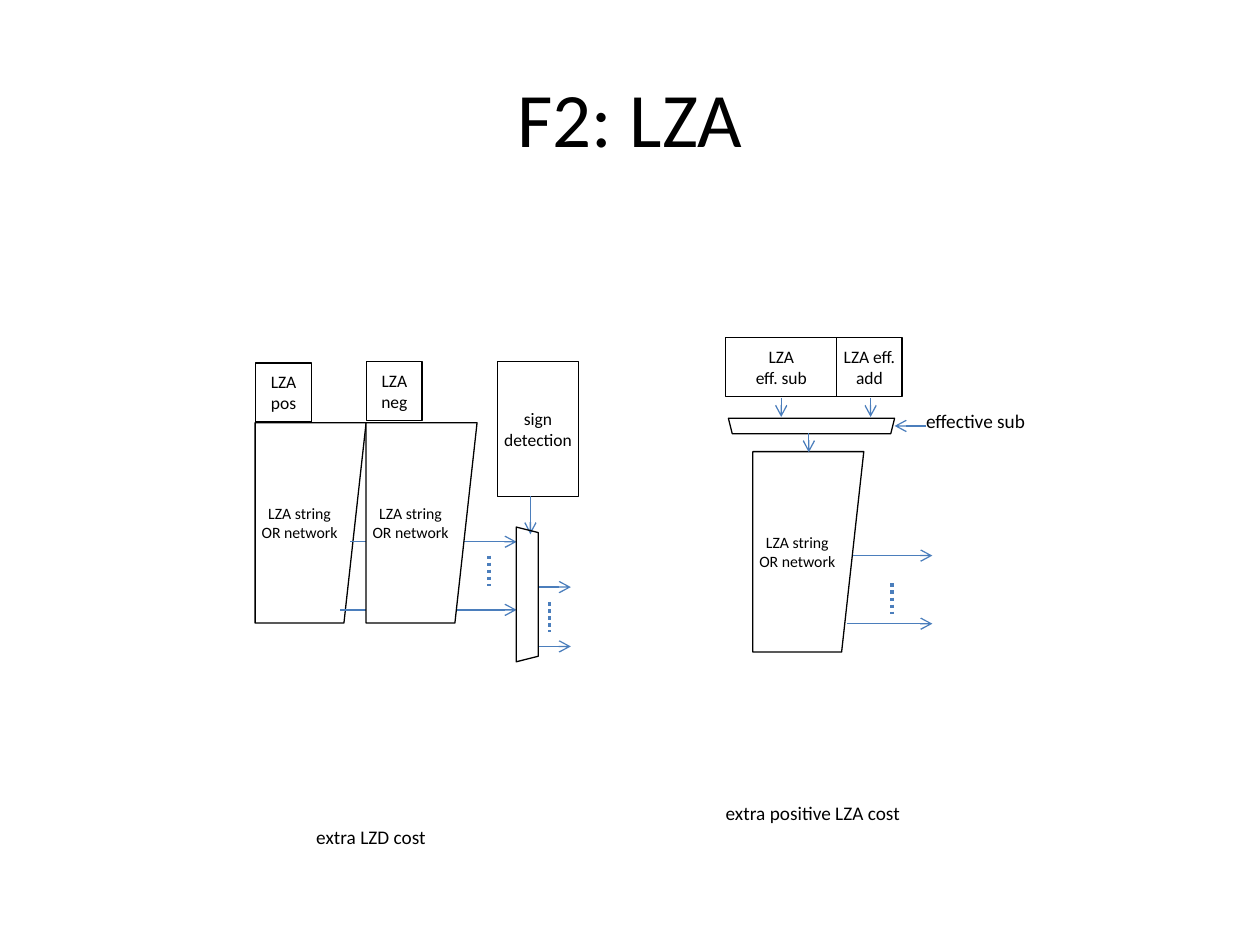
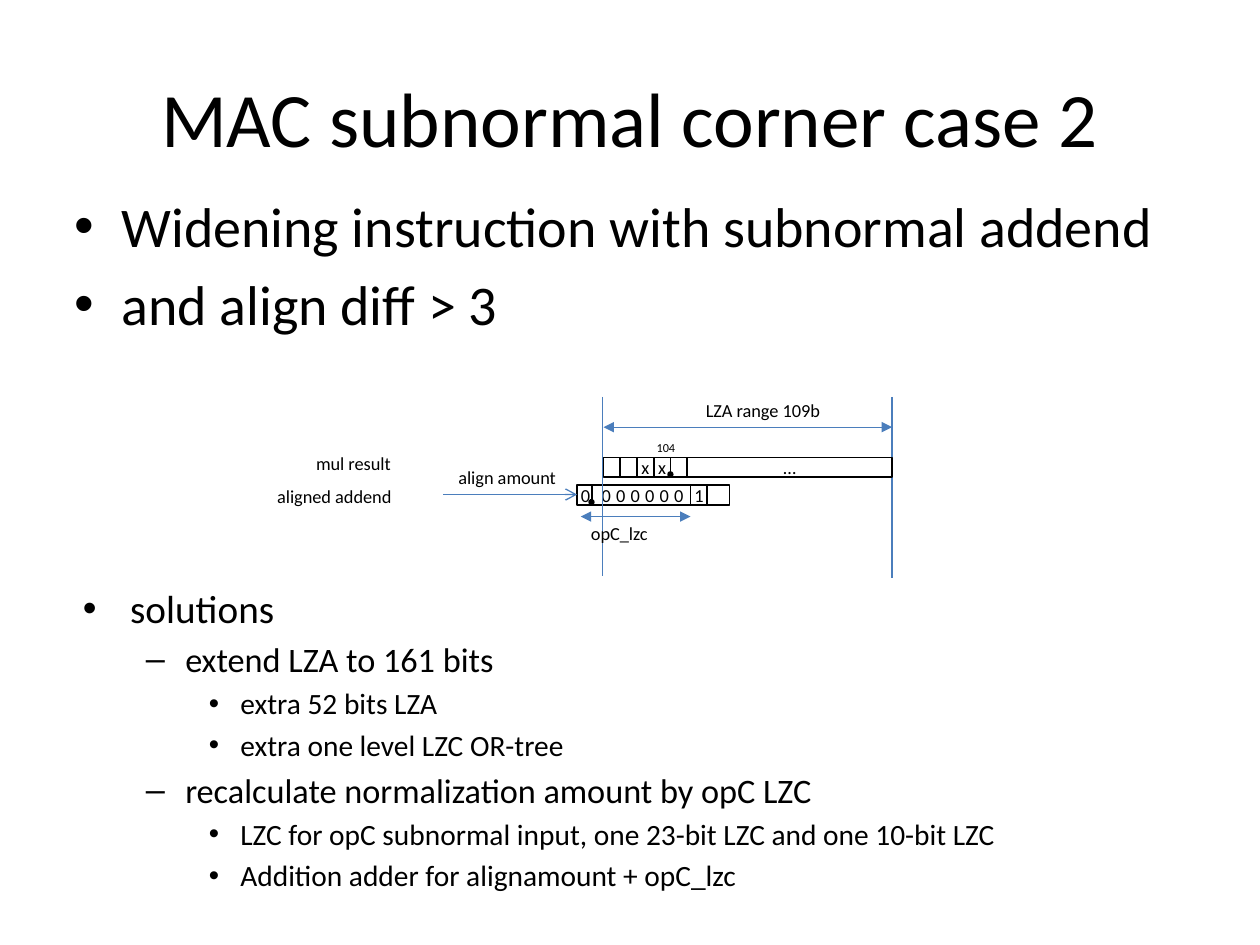
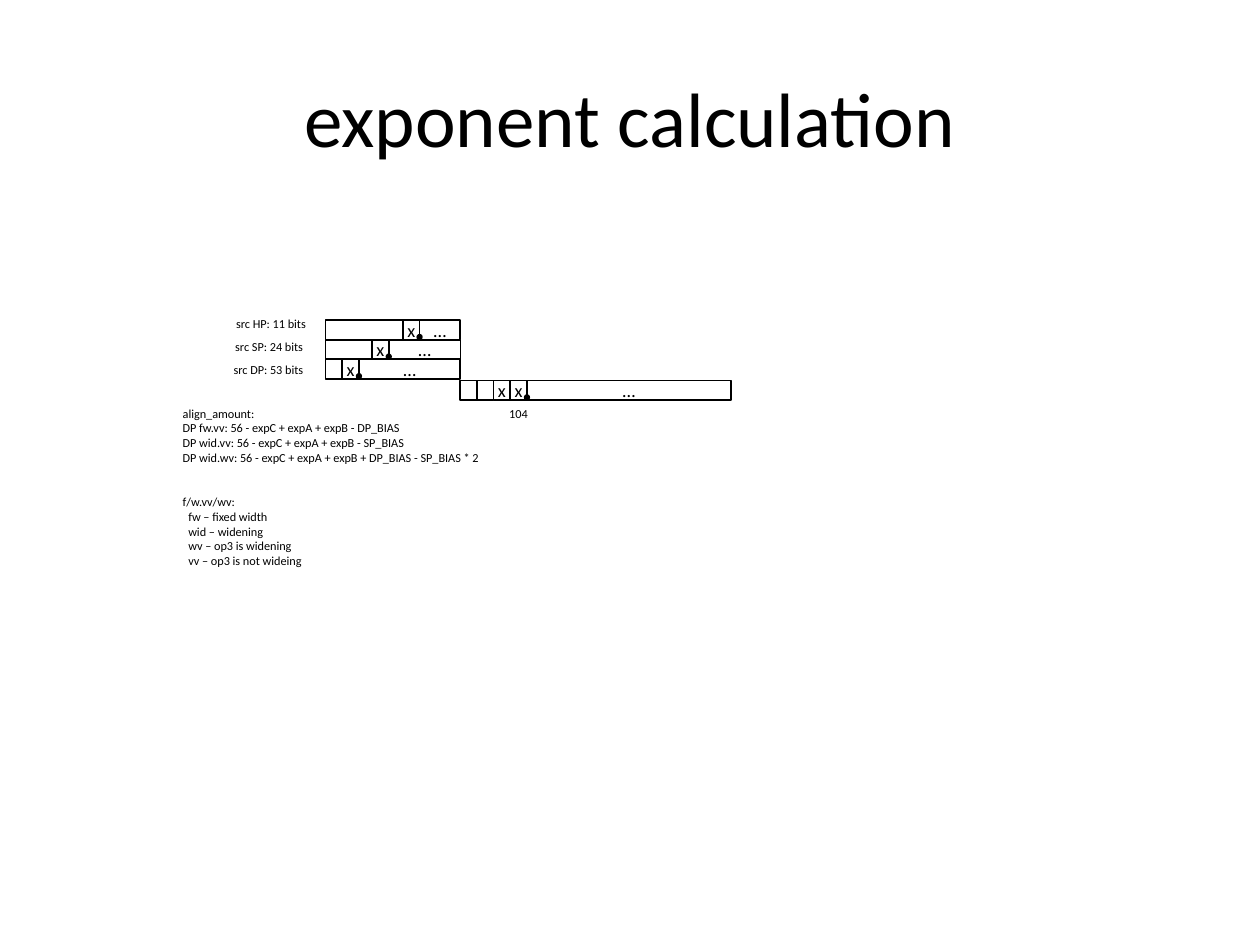
"""Build three slides on leading-zero anticipation and exponent handling."""
from dataclasses import dataclass

from pptx import Presentation
from pptx.dml.color import RGBColor
from pptx.dml.fill import FillFormat
from pptx.enum.dml import MSO_LINE
from pptx.enum.shapes import MSO_CONNECTOR, MSO_SHAPE
from pptx.enum.text import MSO_ANCHOR, PP_ALIGN
from pptx.oxml.ns import qn
from pptx.slide import Slide
from pptx.util import Pt
from lxml import etree

RECT, OVAL = MSO_SHAPE.RECTANGLE, MSO_SHAPE.OVAL
TRAP, SLANT = MSO_SHAPE.TRAPEZOID, MSO_SHAPE.FLOWCHART_MANUAL_INPUT
MIDDLE, TOP = MSO_ANCHOR.MIDDLE, MSO_ANCHOR.TOP
LEFT, CENTER = PP_ALIGN.LEFT, PP_ALIGN.CENTER
DOTTED, STRAIGHT = MSO_LINE.ROUND_DOT, MSO_CONNECTOR.STRAIGHT

FONT, BLACK, WHITE, BLUE = "Calibri", "000000", "FFFFFF", "4B7EBC"
THIN, EDGE, PAD = 0.75, 1, 2.9
CELL, HIGH, DOT = 9.55, 11.2, 3.6
NET_W, NET_H = 63.4, 114.5
LEVELS = [("•", 27, 27), ("–", 58.5, 22.5), ("•", 90, 18)]


@dataclass
class Box:
    """An outlined shape, with text if given."""
    left: float
    top: float
    width: float
    height: float
    text: str = ""
    size: float = 10
    kind: int = RECT
    fill: str = ""
    line: str = BLACK
    weight: float = THIN
    turn: int = 0
    flip: bool = False
    pad: float = PAD
    indent: float = 0
    space: int = 0
    align: int = CENTER


@dataclass
class Label:
    """Plain text without an outline."""
    left: float
    top: float
    width: float
    height: float
    text: str
    size: float = 10.5
    align: int = CENTER
    anchor: int = MIDDLE
    wrap: bool = True


@dataclass
class Line:
    """A straight line with optional tips at its start and end."""
    x1: float
    y1: float
    x2: float
    y2: float
    end: str = ""
    start: str = ""
    dots: bool = False


@dataclass
class Point:
    """A bullet with its level and size."""
    text: str
    size: float
    level: int = 0


def put(item: object, **values: object) -> None:
    """Set each named attribute of an item."""
    for name, value in values.items():
        setattr(item, name, value)


def paint(fill: FillFormat, hue: str) -> None:
    """Fill with a hex colour, or with nothing when it is empty."""
    if hue:
        fill.solid()
        fill.fore_color.rgb = RGBColor.from_string(hue)
    else:
        fill.background()


def inset(frame: object, pad: float, anchor: int, wrap: bool = True) -> None:
    """Set the margins, anchor and wrap of a text frame."""
    sides = ("left", "top", "right", "bottom")
    put(frame, word_wrap=wrap, vertical_anchor=anchor,
        **{f"margin_{side}": Pt(pad) for side in sides})


def write(para: object, text: str, size: float) -> object:
    """Add a black run to a paragraph."""
    run = para.add_run()
    run.text = text
    put(run.font, size=Pt(size), name=FONT, bold=False)
    paint(run.font.fill, BLACK)
    return run


def fill_text(frame: object, text: str, size: float, align: int) -> list:
    """Write one paragraph for each line of the text."""
    paras = []
    for i, row in enumerate(text.split("\n")):
        para = frame.add_paragraph() if i else frame.paragraphs[0]
        para.alignment = align
        write(para, row, size)
        paras.append(para)
    return paras


def draw_box(slide: Slide, box: Box) -> None:
    """Draw a shape."""
    shape = slide.shapes.add_shape(
        box.kind, *map(Pt, (box.left, box.top, box.width, box.height)))
    put(shape, rotation=box.turn)
    shape.shadow.inherit = False
    paint(shape.fill, box.fill)
    paint(shape.line.fill, box.line)
    if box.line:
        shape.line.width = Pt(box.weight)
    if not box.text:
        return
    frame = shape.text_frame
    inset(frame, box.pad, MIDDLE)
    frame.margin_left = Pt(box.pad + box.indent)
    paras = fill_text(frame, box.text, box.size, box.align)
    if box.space:
        paras[0].runs[0].font._element.set("spc", str(box.space * 100))
    if box.flip:
        shape._element.spPr.find(qn("a:xfrm")).set("flipV", "1")
        frame._txBody.bodyPr.set("vert", "vert270")


def draw_label(slide: Slide, label: Label) -> list:
    """Draw a text box and return its paragraphs."""
    area = slide.shapes.add_textbox(
        *map(Pt, (label.left, label.top, label.width, label.height)))
    inset(area.text_frame, 0, label.anchor, label.wrap)
    return fill_text(area.text_frame, label.text, label.size, label.align)


def draw_line(slide: Slide, line: Line) -> None:
    """Draw a line and its tips."""
    link = slide.shapes.add_connector(
        STRAIGHT, *map(Pt, (line.x1, line.y1, line.x2, line.y2)))
    paint(link.line.fill, BLUE)
    link.line.width = Pt(2 if line.dots else THIN)
    if line.dots:
        link.line.dash_style = DOTTED
    stroke = link.line._get_or_add_ln()
    for tag, tip in (("a:headEnd", line.start), ("a:tailEnd", line.end)):
        if tip:
            etree.SubElement(stroke, qn(tag), type=tip)
    etree.SubElement(link._element.spPr, qn("a:effectLst"))


def draw(slide: Slide, items: list) -> None:
    """Draw all items from back to front."""
    tools = {Box: draw_box, Label: draw_label, Line: draw_line}
    for item in items:
        tools[type(item)](slide, item)


def draw_points(slide: Slide, left: float, top: float, height: float,
                points: list[Point]) -> None:
    """Draw a bulleted list."""
    area = slide.shapes.add_textbox(*map(Pt, (left, top, 648, height)))
    frame = area.text_frame
    put(frame, word_wrap=True, vertical_anchor=TOP)
    for i, point in enumerate(points):
        para = frame.add_paragraph() if i else frame.paragraphs[0]
        mark, margin, hang = LEVELS[point.level]
        props = para._p.get_or_add_pPr()
        props.set("marL", str(Pt(margin)))
        props.set("indent", str(-Pt(hang)))
        etree.SubElement(props, qn("a:buFont"), typeface="Arial")
        etree.SubElement(props, qn("a:buChar"), char=mark)
        para.level = point.level
        if i:
            para.space_before = Pt(round(point.size * 0.2, 1))
        write(para, point.text, point.size)


def net(left: float, top: float, fill: str = "") -> Box:
    """Return an OR network whose upright frame starts at left and top."""
    shift = (NET_H - NET_W) / 2
    return Box(left - shift, top + shift, NET_H, NET_W,
               "LZA string\nOR network", 9, SLANT, fill, turn=270, flip=True)


def cell(left: float, top: float, width: float, text: str = "",
         **more: object) -> Box:
    """Return one field of a register."""
    return Box(left, top, width, HIGH, text, 10.5, fill=WHITE,
               weight=EDGE, pad=0, **more)


def dot(x: float, top: float) -> Box:
    """Return the binary point at x in a register row."""
    return Box(x - DOT / 2, top + 7.9, DOT, DOT, kind=OVAL,
               fill=BLACK, line="")


def row(left: float, top: float, lead: float, bits: str,
        tail: float) -> list[Box]:
    """Return a register: a leading field, single bits, a point, the rest."""
    cells = [cell(left, top, lead)]
    x = left + lead
    for bit in bits:
        cells.append(cell(x, top, CELL, bit.strip()))
        x += CELL
    point = left + lead + (bits.rindex("x") + 1) * CELL
    return cells + [cell(x, top, tail, "…"), dot(point, top)]


def start(deck: object, title: str) -> Slide:
    """Add a slide with its title."""
    slide = deck.slides.add_slide(deck.slide_layouts[5])
    head = slide.shapes.title
    put(head, left=Pt(36), top=Pt(21.6), width=Pt(648), height=Pt(90))
    frame = head.text_frame
    frame.vertical_anchor = MIDDLE
    fill_text(frame, title, 44, CENTER)
    return slide


def lza(deck: object) -> None:
    """Build the comparison of two LZA schemes."""
    slide = start(deck, "F2: LZA")
    draw(slide, [
        Box(146.2, 207.4, 31.7, 33.8, "LZA pos"),
        Box(284.4, 206.6, 46.1, 77, "sign detection"),
        net(145.8, 241.6),
        Line(303.1, 283.7, 303.1, 305.3, "arrow"),
        Box(209.5, 206.6, 31.7, 33.8, "LZA neg"),
        Line(200.2, 309.6, 295.2, 309.6, "arrow"),
        Line(194.4, 348.5, 295.2, 348.5, "arrow"),
        Line(279.4, 317.5, 279.4, 334.8, dots=True),
        net(209.2, 241.6, WHITE),
        Box(262.8, 333.4, 77, 12.6, kind=TRAP, turn=90),
        *[Line(308.2, y, 326.2, y, "arrow") for y in (335.5, 369.4)],
        Line(313.9, 344.2, 313.9, 361.4, dots=True),
        Label(180.7, 471.6, 68.4, 13.7, "extra LZD cost", 11, LEFT, TOP,
              False),
        Box(414.7, 193, 63.4, 33.8, "LZA\neff. sub"),
        Box(478.1, 193, 37.4, 33.8, "LZA eff. add"),
        net(430.2, 258.1),
        Line(487.4, 317.5, 532.8, 317.5, "arrow"),
        Line(483.8, 356.4, 532.8, 356.4, "arrow"),
        Line(509.8, 333.4, 509.8, 350.6, dots=True),
        Box(416.2, 239, 95, 8.8, kind=TRAP, turn=180),
        Line(529.2, 243.4, 511.2, 243.4, "arrow"),
        *[Line(x, y, x, y + 10.8, "arrow")
          for x, y in ((446.4, 227.5), (497.5, 227.5), (462.2, 247.7))],
        Label(414.7, 457.9, 100.8, 13.7, "extra positive LZA cost", 11, LEFT,
              TOP, False),
        Label(529.2, 234, 57.6, 13.7, "effective sub", 11, LEFT, TOP, False),
    ])


def corner(deck: object) -> None:
    """Build the subnormal corner case."""
    slide = start(deck, "MAC subnormal corner case 2")
    draw_points(slide, 35.3, 105.8, 108, [
        Point("Widening instruction with subnormal addend", 32),
        Point("and align diff > 3", 32),
    ])
    draw(slide, [
        Line(509.8, 226.8, 509.8, 330.5),
        cell(329.8, 277.2, CELL, "0"),
        cell(338.4, 277.2, 78.5, "000000", align=LEFT, indent=5.4, space=3),
        dot(338, 277.2),
        *row(344.9, 261.4, CELL, " xx ", 117.3),
        Label(177.1, 259.2, 49.7, 11.5, "mul result"),
        Label(371.5, 249.8, 18, 11.5, "104", 7),
        Label(149, 277.9, 84.2, 11.5, "aligned addend"),
        Label(398.9, 224.6, 74.2, 19.4, "LZA range 109b"),
        Line(344.9, 244.1, 509.8, 244.1, "triangle", "triangle"),
        Line(344.2, 226.8, 344.2, 329),
        Line(331.9, 295.2, 394.6, 295.2, "triangle", "triangle"),
        Label(329.8, 295.2, 48.2, 19.4, "opC_lzc"),
        cell(394.6, 277.2, CELL, "1"),
        Line(253.4, 282.6, 329.8, 282.6, "arrow"),
        Label(252.7, 262.8, 74.2, 19.4, "align amount"),
    ])
    draw_points(slide, 40.3, 330.5, 172.1, [
        Point("solutions", 22.4),
        Point("extend LZA to 161 bits", 19.6, 1),
        Point("extra 52 bits LZA", 16.8, 2),
        Point("extra one level LZC OR-tree", 16.8, 2),
        Point("recalculate normalization amount by opC LZC", 19.6, 1),
        Point("LZC for opC subnormal input, one 23-bit LZC and one 10-bit LZC",
              16.8, 2),
        Point("Addition adder for alignamount + opC_lzc", 16.8, 2),
    ])


def exponent(deck: object) -> None:
    """Build the exponent calculation."""
    slide = start(deck, "exponent calculation")
    names = [("src HP: 11 bits", 67.7, 44.2), ("src SP: 24 bits", 65.5, 26.6),
             ("src DP: 53 bits", 64.8, CELL)]
    for i, (name, width, lead) in enumerate(names):
        draw(slide, [
            *row(186, 182.9 + i * HIGH, lead, "x", 77.1 - lead - CELL),
            Label(121, 179.3 + i * 13, width, 11.5, name, 7),
        ])
    draw(slide, [*row(262.9, 217.4, CELL, " xx", 116.6),
                 Label(231.1, 230.4, 130.3, 11.5, "104", 7)])
    lines = """align_amount:
DP fw.vv: 56 - expC + expA + expB - DP_BIAS
DP wid.vv: 56 - expC + expA + expB - SP_BIAS
DP wid.wv: 56 - expC + expA + expB + DP_BIAS - SP_BIAS * 2
f/w.vv/wv:
fw – fixed width
wid – widening
wv – op3 is widening
vv – op3 is not wideing"""
    paras = draw_label(
        slide, Label(104.4, 230.4, 200.9, 95.8, lines, 7, LEFT))
    paras[4].space_before = Pt(17)
    for para in paras[5:]:
        para._p.get_or_add_pPr().set("marL", str(Pt(3.2)))


def main() -> None:
    """Build and save the deck."""
    deck = Presentation()
    put(deck, slide_width=Pt(720), slide_height=Pt(540))
    for build in (lza, corner, exponent):
        build(deck)
    deck.save("out.pptx")


if __name__ == "__main__":
    main()
